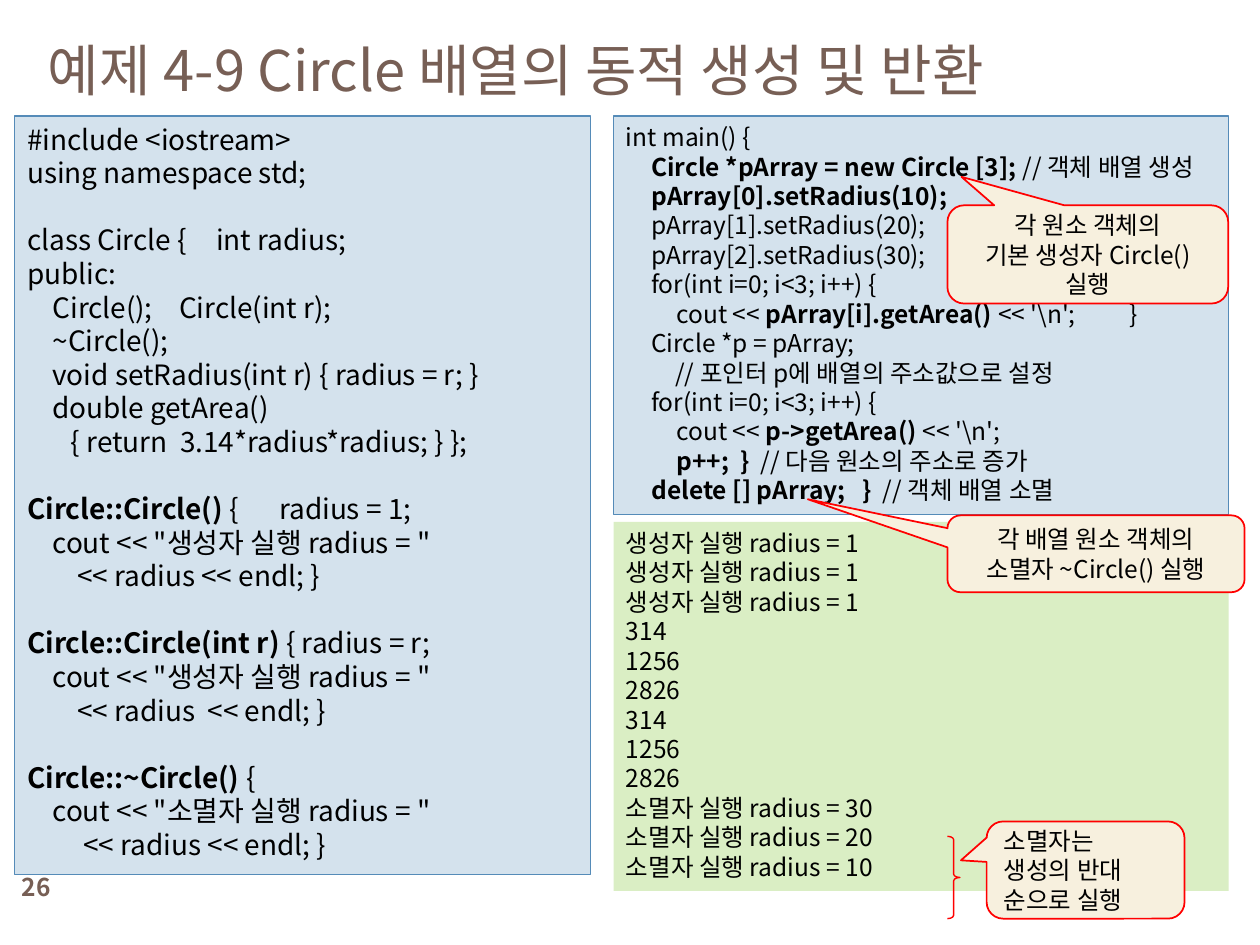
from lxml import etree
from pptx import Presentation
from pptx import util as u
from pptx.dml import color
from pptx.enum import shapes, text
from pptx.oxml import ns

FONT = "Noto Sans CJK KR"
BROWN, BLACK, RED = "775F55", "000000", "FF0000"
CODE_FILL, CODE_EDGE = "D4E2ED", "558BB8"
OUTPUT_FILL, CALLOUT_FILL = "DAEEC4", "F7F0DE"
TAB_STEP, TAB_COUNT = 0.51, 6

CLASS_CODE = """#include <iostream>
using namespace std;

class Circle { \tint radius;
public:
\tCircle();  \tCircle(int r);
\t~Circle();
\tvoid setRadius(int r) { radius = r; }
\tdouble getArea()
       { return  3.14*radius*radius; } };

**Circle::Circle() **{ \tradius = 1;
\tcout << "생성자 실행 radius = "
        << radius << endl; }

**Circle::Circle(int r) **{ radius = r;
\tcout << "생성자 실행 radius = "
        << radius  << endl; }

**Circle::~Circle() **{
\tcout << "소멸자 실행 radius = "
         << radius << endl; }"""

MAIN_CODE = """int main() {
\t**Circle *pArray = new Circle [3]; **// 객체 배열 생성
\t**pArray[0].setRadius(10);**
\tpArray[1].setRadius(20);
\tpArray[2].setRadius(30);
\tfor(int i=0; i<3; i++) {
\t\tcout << **pArray[i].getArea() **<< '\\n'; \t}
\tCircle *p = pArray;
         // 포인터 p에 배열의 주소값으로 설정
\tfor(int i=0; i<3; i++) {
\t\tcout << **p->getArea() **<< '\\n';
\t\t**p++;  }  **// 다음 원소의 주소로 증가
\t**delete [] pArray;   }  **// 객체 배열 소멸"""

OUTPUT = """생성자 실행 radius = 1
생성자 실행 radius = 1
생성자 실행 radius = 1
314
1256
2826
314
1256
2826
소멸자 실행 radius = 30
소멸자 실행 radius = 20
소멸자 실행 radius = 10"""


def rgb(value):
    return color.RGBColor.from_string(value)


def apply(target, formats):
    for name, value in formats.items():
        setattr(target, name, value)


def cm_box(box):
    return [u.Cm(length) for length in box]


def style_run(run, size, hue, bold=False):
    apply(run.font, {"name": FONT, "size": u.Pt(size), "bold": bold})
    run.font.color.rgb = rgb(hue)
    east_asian = etree.SubElement(run.font._element, ns.qn("a:ea"))
    east_asian.set("typeface", FONT)


def add_tab_stops(paragraph):
    stops = etree.SubElement(paragraph._p.get_or_add_pPr(), ns.qn("a:tabLst"))
    for step in range(1, TAB_COUNT + 1):
        stop = etree.SubElement(stops, ns.qn("a:tab"))
        stop.set("pos", str(u.Cm(TAB_STEP * step)))
        stop.set("algn", "l")


def write(frame, content, size, hue=BLACK, align=text.PP_ALIGN.LEFT,
          bold=False, tabs=False, **frame_formats):
    apply(frame, {"word_wrap": True, "auto_size": text.MSO_AUTO_SIZE.NONE,
                  **frame_formats})
    line_height = u.Pt(size * 1.2)
    paragraph, gap = frame.paragraphs[0], 0
    for index, line in enumerate(content.split("\n")):
        if not line:
            gap += line_height
            continue
        if index:
            paragraph = frame.add_paragraph()
        apply(paragraph, {"alignment": align, "line_spacing": line_height})
        if gap:
            paragraph.space_before, gap = gap, 0
        if tabs:
            add_tab_stops(paragraph)
        for part, words in enumerate(line.split("**")):
            if words:
                run = paragraph.add_run()
                run.text = words
                style_run(run, size, hue, bold or part % 2 == 1)


def add_figure(slide, kind, box, fill=None, edge=None, width=1.0, adjust=()):
    figure = slide.shapes.add_shape(kind, *cm_box(box))
    figure.shadow.inherit = False
    for index, value in enumerate(adjust):
        figure.adjustments[index] = value
    if fill:
        figure.fill.solid()
        figure.fill.fore_color.rgb = rgb(fill)
    else:
        figure.fill.background()
    if edge:
        figure.line.color.rgb = rgb(edge)
        figure.line.width = u.Pt(width)
    else:
        figure.line.fill.background()
    return figure


def add_heading(slide, box, words):
    heading = slide.shapes.title
    apply(heading, dict(zip(("left", "top", "width", "height"), cm_box(box))))
    write(heading.text_frame, words, 32, BROWN,
          vertical_anchor=text.MSO_ANCHOR.MIDDLE)


def add_page_number(slide, box, number):
    page = slide.shapes.add_textbox(*cm_box(box))
    write(page.text_frame, number, 14, BROWN, text.PP_ALIGN.CENTER, bold=True,
          vertical_anchor=text.MSO_ANCHOR.MIDDLE)


def add_panel(slide, box, content, size, fill, edge=None):
    panel = add_figure(slide, shapes.MSO_SHAPE.RECTANGLE, box, fill, edge, 0.75)
    write(panel.text_frame, content, size, tabs=True,
          vertical_anchor=text.MSO_ANCHOR.TOP)


def add_callout(slide, box, words, pointer, align=text.PP_ALIGN.CENTER,
                **frame_formats):
    callout = add_figure(slide, shapes.MSO_SHAPE.ROUNDED_RECTANGULAR_CALLOUT,
                         box, CALLOUT_FILL, RED, adjust=(*pointer, 0.17))
    write(callout.text_frame, words, 14, align=align,
          vertical_anchor=text.MSO_ANCHOR.MIDDLE, **frame_formats)


def add_order_note(slide, box, words):
    left, top, width, height = box
    add_figure(slide, shapes.MSO_SHAPE.RIGHT_BRACE,
               (left, top + 0.3, 0.25, height - 0.3), edge=RED, width=0.79,
               adjust=(0.27, 0.5))
    add_callout(slide, (left + 0.79, top, width - 0.79, height), words,
                (-0.63, -0.1), text.PP_ALIGN.LEFT, margin_right=u.Cm(0.4))


def main():
    deck = Presentation()
    apply(deck, {"slide_width": u.Cm(25.4), "slide_height": u.Cm(19.05)})
    slide = deck.slides.add_slide(deck.slide_layouts[5])
    right, column = 12.37, 12.4
    note_left = 19.1

    add_heading(slide, (0.71, 0.46, 23.19, 1.88),
                "예제 4-9 Circle 배열의 동적 생성 및 반환")
    add_page_number(slide, (0, 17.35, 1.47, 1.07), "26")
    add_panel(slide, (0.3, 2.34, 11.61, 15.29), CLASS_CODE, 16,
              CODE_FILL, CODE_EDGE)
    add_panel(slide, (right, 2.34, column, 8.03), MAIN_CODE, 14,
              CODE_FILL, CODE_EDGE)
    add_panel(slide, (right, 10.52, column, 7.44), OUTPUT, 14, OUTPUT_FILL)
    add_callout(slide, (note_left, 4.14, 5.66, 1.98),
                "각 원소 객체의\n기본 생성자 Circle() 실행", (-0.45, -0.79))
    add_callout(slide, (note_left, 10.39, 5.99, 1.55),
                "각 배열 원소 객체의\n소멸자 ~Circle() 실행", (-0.97, -0.71))
    add_order_note(slide, (note_left, 16.56, 4.78, 1.96),
                   "소멸자는 생성의 반대 순으로 실행")
    deck.save("out.pptx")


if __name__ == "__main__":
    main()
